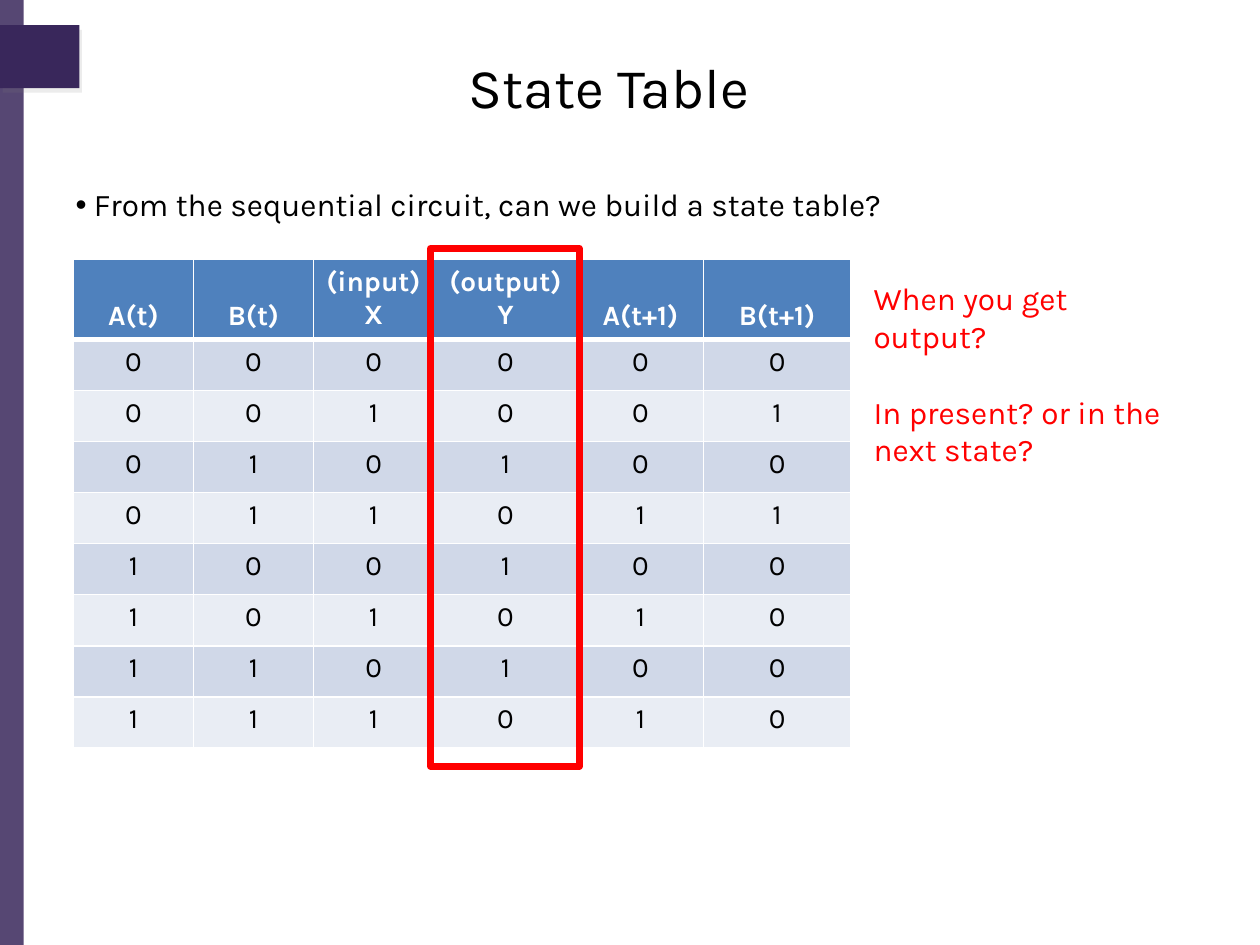
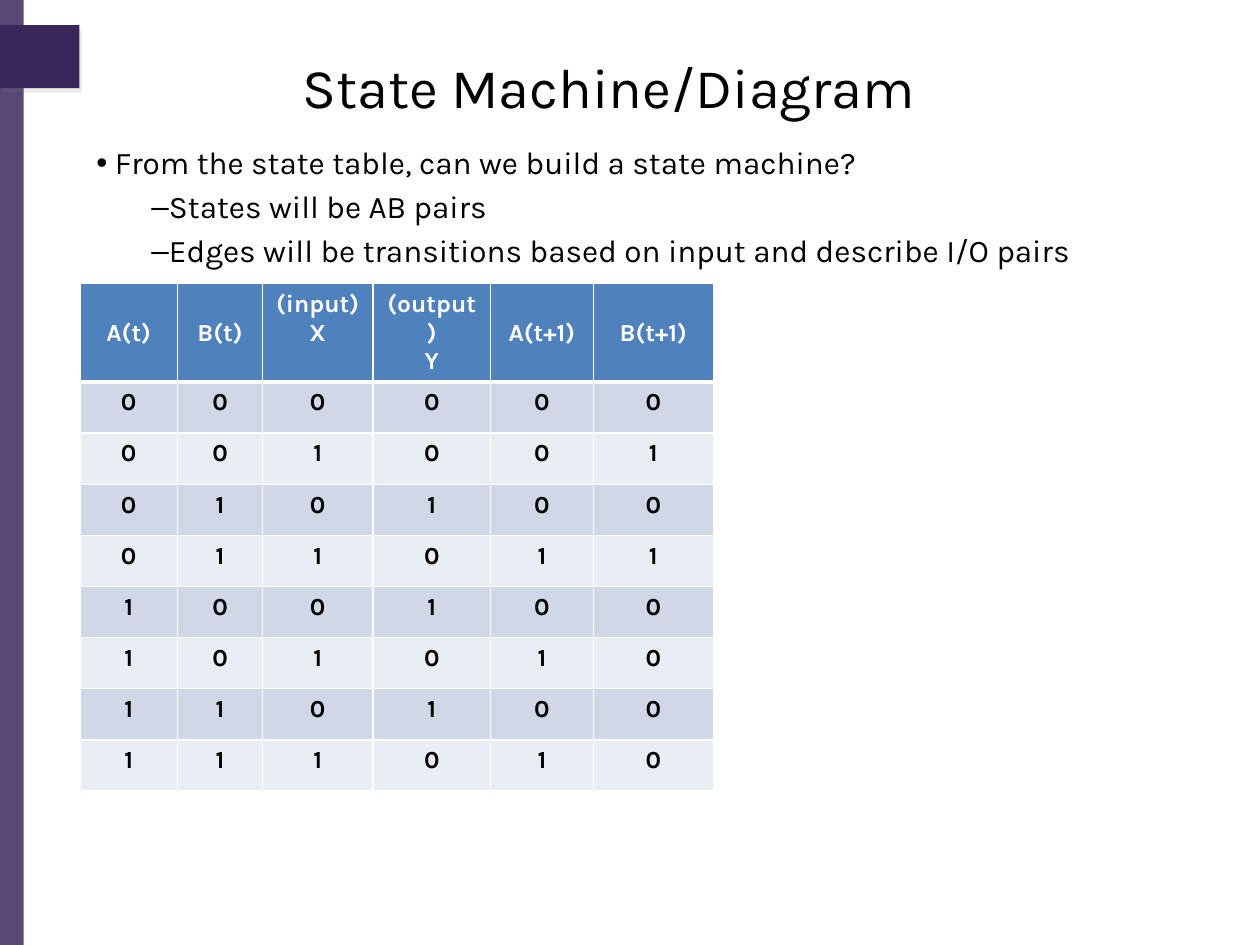
import itertools
from dataclasses import dataclass

import pptx
import pptx.dml.color
import pptx.enum.shapes
import pptx.enum.text
import pptx.oxml
import pptx.oxml.ns
import pptx.util
from pptx.util import Cm

FACE = "Karla"
BLACK, WHITE, RED = "000000", "FFFFFF", "FF0000"
PURPLE, BLUE = "39275B", "4F81BD"
STRIPES = ("D0D8E8", "E9EDF4")
RECT = pptx.enum.shapes.MSO_SHAPE.RECTANGLE
ALIGN = pptx.enum.text.PP_ALIGN
ANCHOR = pptx.enum.text.MSO_ANCHOR
FIT = pptx.enum.text.MSO_AUTO_SIZE
HEADS = ("A(t)", "B(t)", "(input)\nX", "(output)\nY", "A(t+1)", "B(t+1)")


@dataclass(frozen=True)
class Box:
    left: float
    top: float
    width: float
    height: float

    def sides(self) -> tuple:
        return Cm(self.left), Cm(self.top), Cm(self.width), Cm(self.height)


@dataclass(frozen=True)
class Bullet:
    text: str
    level: int = 0


@dataclass(frozen=True)
class Grid:
    left: float
    top: float
    widths: tuple
    head: float
    row: float
    size: int
    bold: bool
    anchor: object


BAR = Box(0, 0, 0.48, 19.05)
TAB = Box(0, 0.51, 1.6, 1.27)
TITLE = Box(0.85, 0.2, 22.86, 2.34)
MARKS = (("•", 0.37, -0.37), ("–", 1.11, 0))


def ink(code: str) -> pptx.dml.color.RGBColor:
    return pptx.dml.color.RGBColor.from_string(code)


def node(text: str):
    space = pptx.oxml.ns.nsdecls("a")
    return pptx.oxml.parse_xml(text.replace(">", f" {space}>", 1))


def style(para, size: int, code: str, bold: bool = False) -> None:
    for font in (para.font, *(run.font for run in para.runs)):
        font.name = FACE
        font.size = pptx.util.Pt(size)
        font.bold = bold
        font.color.rgb = ink(code)


def place(shape, box: Box) -> None:
    shape.left, shape.top, shape.width, shape.height = box.sides()


def block(slide, box: Box):
    shape = slide.shapes.add_shape(RECT, *box.sides())
    shape.shadow.inherit = False
    return shape


def add_bands(slide) -> None:
    tree = slide.slide_layout.shapes.element
    for index, box in enumerate((BAR, TAB)):
        band = block(slide, box)
        band.fill.solid()
        band.fill.fore_color.rgb = ink(PURPLE)
        band.line.fill.background()
        props = band.element.spPr
        if box is BAR:
            tint = props.find(".//" + pptx.oxml.ns.qn("a:srgbClr"))
            tint.append(node('<a:alpha val="85000"></a:alpha>'))
        else:
            props.find(pptx.oxml.ns.qn("a:effectLst")).append(node(
                '<a:outerShdw blurRad="0" dist="38100" dir="3600000" rotWithShape="0">'
                '<a:srgbClr val="808080"><a:alpha val="15000"/></a:srgbClr>'
                '</a:outerShdw>'))
        band.element.nvSpPr.cNvPr.set("id", str(20 + index))
        tree.insert(2 + index, band.element)


def add_title(slide, text: str) -> None:
    title = slide.shapes.title
    place(title, TITLE)
    frame = title.text_frame
    frame.text = text
    frame.auto_size = FIT.NONE
    frame.vertical_anchor = ANCHOR.BOTTOM
    para = frame.paragraphs[0]
    para.alignment = ALIGN.CENTER
    style(para, 32, BLACK)


def add_list(slide, box: Box, items: list[Bullet]) -> None:
    body = slide.placeholders[1]
    place(body, box)
    frame = body.text_frame
    frame.text = "\n".join(item.text for item in items)
    frame.auto_size = FIT.NONE
    for para, item in zip(frame.paragraphs, items):
        para.level = item.level
        style(para, 18, BLACK)
        mark, left, indent = MARKS[item.level]
        props = para._p.get_or_add_pPr()
        props.set("marL", str(Cm(left)))
        props.set("indent", str(Cm(indent)))
        props.insert(0, node(f'<a:buChar char="{mark}"></a:buChar>'))


def add_edges(cell, row: int) -> None:
    props = cell._tc.get_or_add_tcPr()
    for index, side in enumerate("LRTB"):
        thick = (row, side) in ((0, "B"), (1, "T"))
        width = pptx.util.Pt(3 if thick else 1)
        props.insert(index, node(
            f'<a:ln{side} w="{width}"><a:solidFill><a:srgbClr val="{WHITE}"/>'
            f'</a:solidFill></a:ln{side}>'))


def state_rows() -> list[tuple]:
    rows = []
    for a, b, x in itertools.product((0, 1), repeat=3):
        some = a | b
        rows.append((a, b, x, some & (1 - x), some & x, (1 - a) & x))
    return rows


def add_states(slide, grid: Grid) -> None:
    rows = [HEADS, *state_rows()]
    box = Box(grid.left, grid.top, sum(grid.widths),
              grid.head + grid.row * (len(rows) - 1))
    table = slide.shapes.add_table(len(rows), len(HEADS), *box.sides()).table
    for column, width in zip(table.columns, grid.widths):
        column.width = Cm(width)
    for r, values in enumerate(rows):
        table.rows[r].height = Cm(grid.row if r else grid.head)
        for c, value in enumerate(values):
            cell = table.cell(r, c)
            cell.text = str(value)
            cell.fill.solid()
            cell.fill.fore_color.rgb = ink(STRIPES[(r - 1) % 2] if r else BLUE)
            lone = r == 0 and "\n" not in value
            cell.vertical_anchor = grid.anchor if lone else ANCHOR.TOP
            add_edges(cell, r)
            for para in cell.text_frame.paragraphs:
                para.alignment = ALIGN.CENTER
                style(para, grid.size, BLACK if r else WHITE, grid.bold or r == 0)


def add_note(slide, box: Box, lines: list[str]) -> None:
    frame = slide.shapes.add_textbox(*box.sides()).text_frame
    frame.word_wrap = True
    frame.auto_size = FIT.SHAPE_TO_FIT_TEXT
    frame.text = "\n".join(lines)
    for index, para in enumerate(frame.paragraphs):
        para.space_before = pptx.util.Pt(21.4 if index else 0)
        style(para, 18, RED)


def add_frame(slide, box: Box) -> None:
    frame = block(slide, box)
    frame.fill.background()
    frame.line.color.rgb = ink(RED)
    frame.line.width = pptx.util.Pt(4)


def main() -> None:
    deck = pptx.Presentation()
    deck.slide_width, deck.slide_height = Cm(25.4), Cm(19.05)
    layout = deck.slide_layouts[1]

    slide = deck.slides.add_slide(layout)
    add_bands(slide)
    add_title(slide, "State Table")
    add_list(slide, Box(1.27, 3.61, 22.86, 1.47), [
        Bullet("From the sequential circuit, can we build a state table?")])
    add_note(slide, Box(17.36, 5.51, 6.35, 4.11), [
        "When you get output?", "In present? or in the next state?"])
    add_states(slide, Grid(1.48, 5.23, (2.42, 2.42, 2.42, 2.9, 2.54, 2.97),
                           1.57, 1.03, 16, False, ANCHOR.BOTTOM))
    add_frame(slide, Box(8.68, 5.01, 3, 10.44))

    slide = deck.slides.add_slide(layout)
    add_title(slide, "State Machine/Diagram")
    add_list(slide, Box(1.69, 2.76, 22.86, 7.19), [
        Bullet("From the state table, can we build a state machine?"),
        Bullet("States will be AB pairs", 1),
        Bullet("Edges will be transitions based on input and describe I/O pairs", 1)])
    add_states(slide, Grid(1.61, 5.72, (1.97, 1.71, 2.23, 2.37, 2.07, 2.42),
                           1.95, 1.03, 14, True, ANCHOR.MIDDLE))

    deck.save("out.pptx")


if __name__ == "__main__":
    main()
